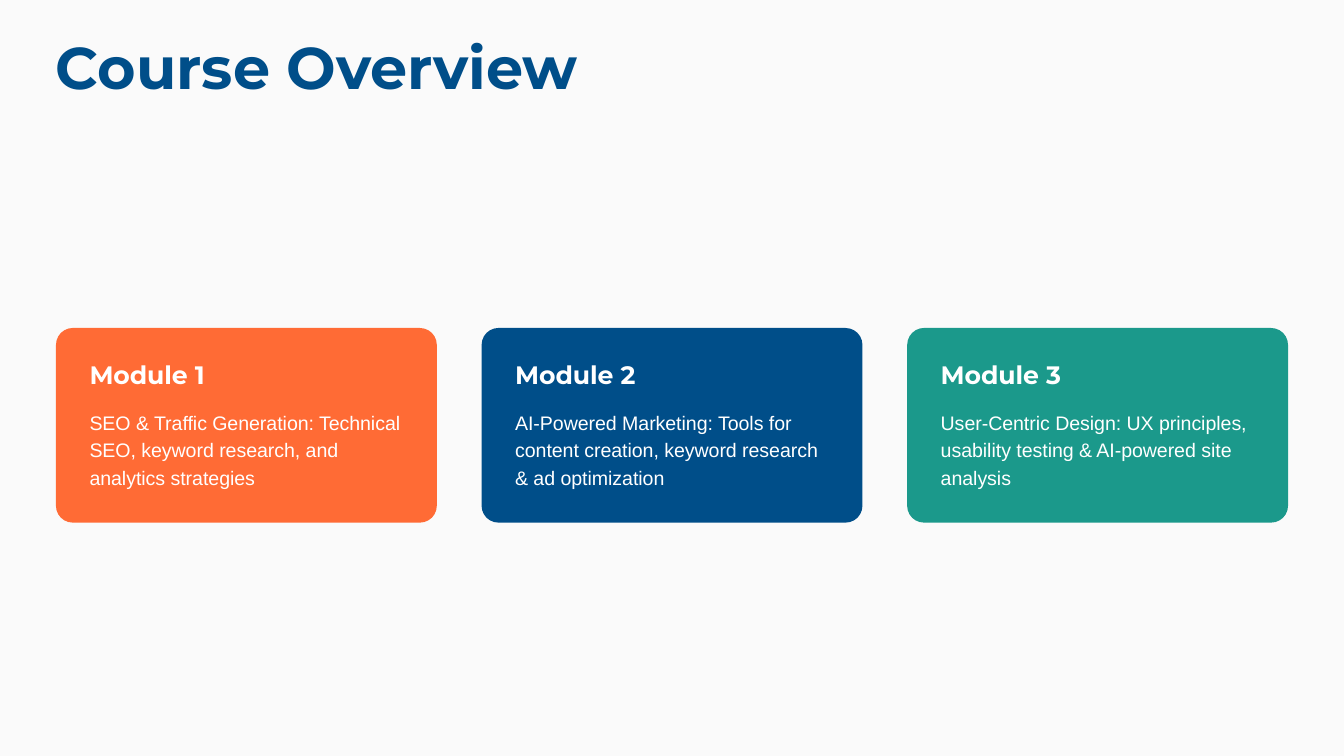
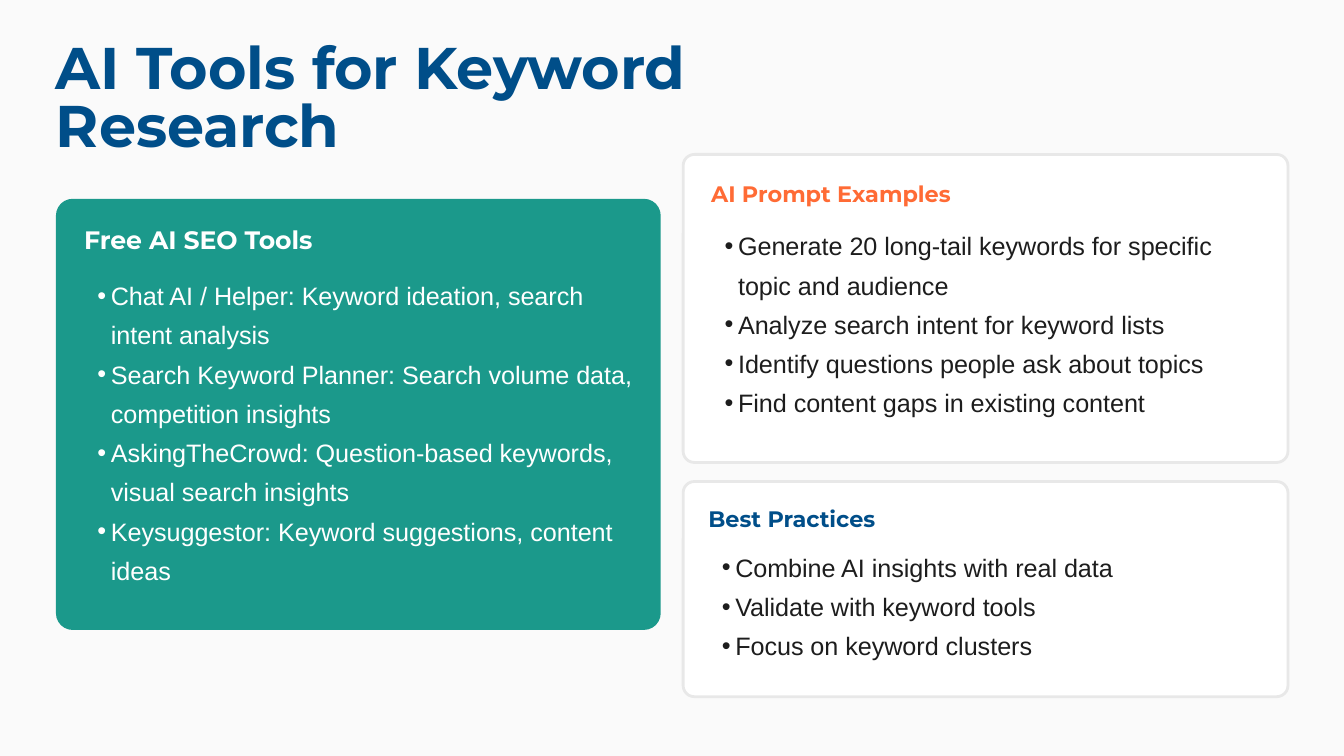
from dataclasses import dataclass

from lxml import etree
from pptx import Presentation
from pptx.dml.color import RGBColor
from pptx.enum.shapes import MSO_SHAPE
from pptx.enum.text import MSO_ANCHOR, MSO_AUTO_SIZE, PP_ALIGN
from pptx.oxml.ns import qn
from pptx.util import Pt

ROUNDED = MSO_SHAPE.ROUNDED_RECTANGLE
TOP = MSO_ANCHOR.TOP
FIXED = MSO_AUTO_SIZE.NONE
LEFT = PP_ALIGN.LEFT
TITLE_ONLY_LAYOUT = 5
COMPARISON_LAYOUT = 4


@dataclass(frozen=True)
class TextStyle:
    font: str
    size: float
    line: float
    bold: bool = False
    after: float = 0


@dataclass(frozen=True)
class Theme:
    background: str = "FAFAFA"
    white: str = "FFFFFF"
    ink: str = "1D1D1D"
    border: str = "E8E8E8"
    orange: str = "FF6B35"
    blue: str = "004E89"
    teal: str = "1B998B"
    title: TextStyle = TextStyle("Montserrat", 31.5, 31.5, True)
    heading: TextStyle = TextStyle("Montserrat", 13.5, 15, True, 9)
    subheading: TextStyle = TextStyle("Montserrat", 12, 13.3, True, 7.5)
    body: TextStyle = TextStyle("Arial", 10.5, 14.7)
    bullet: TextStyle = TextStyle("Arial", 13.5, 21)
    margin: float = 30
    title_top: float = 22.5
    bullet_indent: float = 7.2


class Deck:
    def __init__(self, theme):
        self.theme = theme
        self.presentation = Presentation()
        self.presentation.slide_width = Pt(720)
        self.presentation.slide_height = Pt(405)
        fill = self.presentation.slide_master.background.fill
        fill.solid()
        fill.fore_color.rgb = RGBColor.from_string(theme.background)
        self.slide = None

    def add_slide(self, layout, title, title_width):
        theme = self.theme
        layouts = self.presentation.slide_layouts
        self.slide = self.presentation.slides.add_slide(layouts[layout])
        shape = self.slide.shapes.title
        self.place(shape, theme.margin, theme.title_top, title_width, theme.title.line)
        self.set_text(shape, [title], theme.title, theme.blue)

    def place(self, shape, left, top, width, height):
        shape.left, shape.top = Pt(left), Pt(top)
        shape.width, shape.height = Pt(width), Pt(height)

    def set_text(self, shape, lines, style, color, inset=0):
        frame = shape.text_frame
        frame.text = "\n".join(lines)
        frame.word_wrap = True
        frame.auto_size = FIXED
        frame.vertical_anchor = TOP
        frame.margin_left = Pt(inset)
        frame.margin_top = frame.margin_right = frame.margin_bottom = 0
        for paragraph in frame.paragraphs:
            paragraph.alignment = LEFT
            paragraph.line_spacing = Pt(style.line)
            paragraph.space_before = Pt(0)
            paragraph.space_after = Pt(style.after)
            for run in paragraph.runs:
                run.font.name = style.font
                run.font.size = Pt(style.size)
                run.font.bold = style.bold
                run.font.color.rgb = RGBColor.from_string(color)

    def text(self, line, left, top, width, height, style, color):
        box = self.slide.shapes.add_textbox(Pt(left), Pt(top), Pt(width), Pt(height))
        self.set_text(box, [line], style, color)

    def card(self, left, top, width, height, radius, color, border=None):
        shape = self.slide.shapes.add_shape(
            ROUNDED, Pt(left), Pt(top), Pt(width), Pt(height))
        shape.adjustments[0] = radius / height
        shape.shadow.inherit = False
        shape.fill.solid()
        shape.fill.fore_color.rgb = RGBColor.from_string(color)
        if border:
            shape.line.color.rgb = RGBColor.from_string(border)
            shape.line.width = Pt(1.5)
        else:
            shape.line.fill.background()

    def bullets(self, index, items, left, top, width, height, color):
        theme = self.theme
        shape = next(placeholder for placeholder in self.slide.placeholders
                     if placeholder.placeholder_format.idx == index)
        self.slide.shapes._spTree.append(shape._element)
        self.place(shape, left, top, width, height)
        self.set_text(shape, items, theme.bullet, color, theme.bullet_indent)
        for paragraph in shape.text_frame.paragraphs:
            properties = paragraph._p.get_or_add_pPr()
            properties.set("marL", str(Pt(theme.bullet_indent)))
            properties.set("indent", str(-Pt(theme.bullet_indent)))
            etree.SubElement(properties, qn("a:buChar"), char="•")

    def remove_empty_placeholders(self):
        for placeholder in list(self.slide.placeholders):
            if not placeholder.text_frame.text:
                placeholder._element.getparent().remove(placeholder._element)

    def finish(self):
        self.presentation.save("out.pptx")


def add_course_overview(deck):
    theme = deck.theme
    deck.add_slide(TITLE_ONLY_LAYOUT, "Course Overview", 337.5)
    modules = [
        (theme.orange, "SEO & Traffic Generation: Technical SEO, keyword research, "
                       "and analytics strategies"),
        (theme.blue, "AI-Powered Marketing: Tools for content creation, keyword research "
                     "& ad optimization"),
        (theme.teal, "User-Centric Design: UX principles, usability testing & AI-powered "
                     "site analysis"),
    ]
    top, width, gap, padding = 175.75, 204, 24, 18
    for number, (color, summary) in enumerate(modules):
        left = theme.margin + number * (width + gap)
        text_left = left + padding
        deck.card(left, top, width, 104.25, 9, color)
        deck.text(f"Module {number + 1}", text_left, top + padding, 86.5, 15,
                  theme.heading, theme.white)
        deck.text(summary, text_left, top + 42.25, 171.5, 44, theme.body, theme.white)


def add_keyword_tools(deck):
    theme = deck.theme
    deck.add_slide(COMPARISON_LAYOUT, "AI Tools for Keyword Research", 475)
    width, right_column = 324, 366

    def panel(index, left, top, height, radius, padding, fill, border,
              heading, heading_style, heading_color, items, list_offset, text_color):
        text_left = left + padding
        text_width = width - 2 * padding
        list_height = height - list_offset - padding
        deck.card(left, top, width, height, radius, fill, border)
        deck.text(heading, text_left, top + padding, 151, heading_style.line,
                  heading_style, heading_color)
        deck.bullets(index, items, text_left, top + list_offset, text_width,
                     list_height, text_color)

    panel(2, theme.margin, 106.5, 231, 9, 15, theme.teal, None,
          "Free AI SEO Tools", theme.heading, theme.white,
          ["Chat AI / Helper: Keyword ideation, search intent analysis",
           "Search Keyword Planner: Search volume data, competition insights",
           "AskingTheCrowd: Question-based keywords, visual search insights",
           "Keysuggestor: Keyword suggestions, content ideas"],
          39, theme.white)
    panel(4, right_column, 82.75, 165, 6, 15, theme.white, theme.border,
          "AI Prompt Examples", theme.subheading, theme.orange,
          ["Generate 20 long-tail keywords for specific topic and audience",
           "Analyze search intent for keyword lists",
           "Identify questions people ask about topics",
           "Find content gaps in existing content"],
          36, theme.ink)
    panel(3, right_column, 258, 115.25, 6, 13.5, theme.white, theme.border,
          "Best Practices", theme.subheading, theme.blue,
          ["Combine AI insights with real data",
           "Validate with keyword tools",
           "Focus on keyword clusters"],
          33, theme.ink)
    deck.remove_empty_placeholders()


def main():
    deck = Deck(Theme())
    add_course_overview(deck)
    add_keyword_tools(deck)
    deck.finish()


if __name__ == "__main__":
    main()
